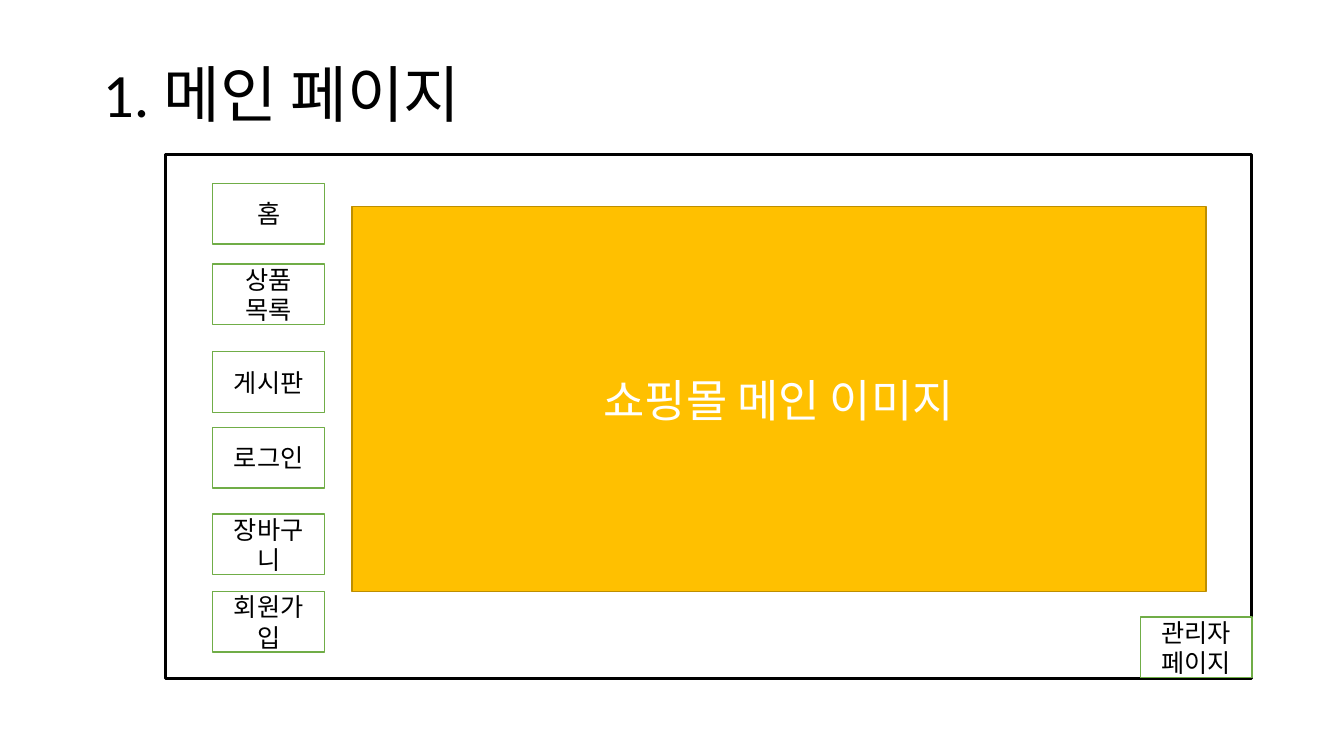
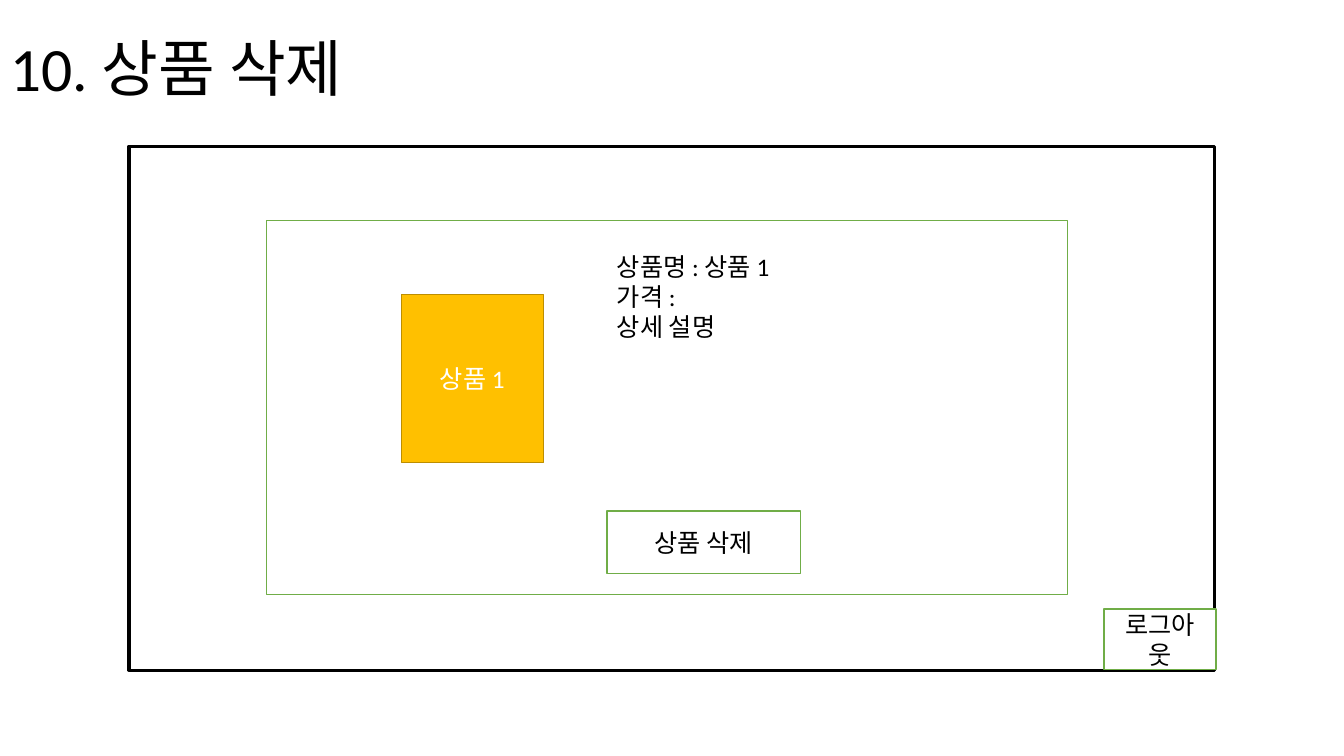
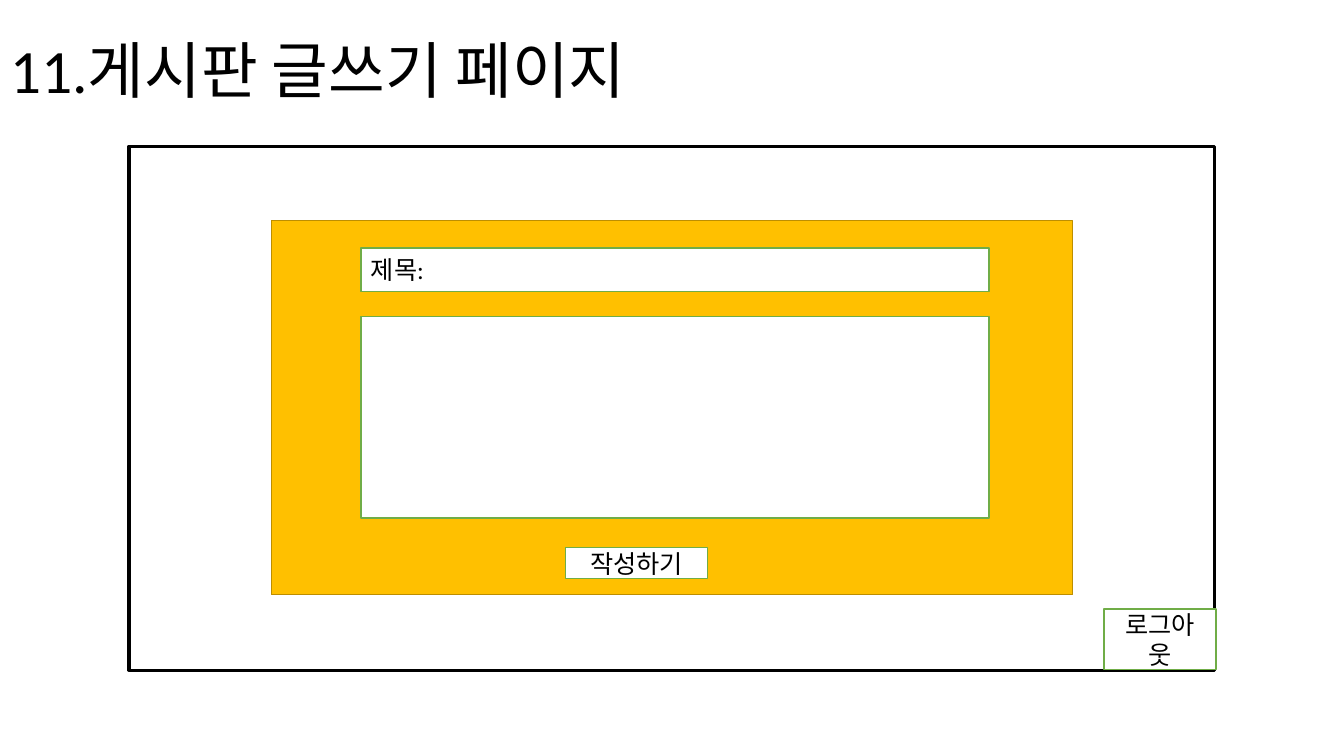
from pptx import Presentation
from pptx.dml.color import RGBColor
from pptx.enum.shapes import MSO_SHAPE
from pptx.enum.text import MSO_ANCHOR, PP_ALIGN
from pptx.util import Pt

EMU_PER_PX = 9144  # 100 px to the inch
BLACK = RGBColor(0x00, 0x00, 0x00)
WHITE = RGBColor(0xFF, 0xFF, 0xFF)
GREEN = RGBColor(0x70, 0xAD, 0x47)
GOLD = RGBColor(0xFF, 0xC0, 0x00)
DARK_GOLD = RGBColor(0xBD, 0x8E, 0x00)


def px(*lengths):
    return [length * EMU_PER_PX for length in lengths]


class Wireframe:
    font = "Calibri"
    title_size = 44
    body_size = 18
    button_size = (111, 60)
    screen_size = (1077, 520)

    def __init__(self):
        self.presentation = Presentation()
        self.presentation.slide_width, self.presentation.slide_height = px(1333, 750)
        self.slide = None

    def add_slide(self, title, left=0, top=0, height=145):
        self.slide = self.presentation.slides.add_slide(self.presentation.slide_layouts[6])
        text_frame = self.text(title, left, top, 1150, height, self.title_size)
        text_frame.vertical_anchor = MSO_ANCHOR.MIDDLE
        text_frame.paragraphs[0].line_spacing = 0.9

    def fill_text(self, text_frame, text, size, color, align):
        text_frame.word_wrap = True
        text_frame.text = text
        for paragraph in text_frame.paragraphs:
            paragraph.alignment = align
            for run in paragraph.runs:
                run.font.name = self.font
                run.font.size = Pt(size)
                run.font.color.rgb = color

    def text(self, text, left, top, width, height, size=body_size):
        box = self.slide.shapes.add_textbox(*px(left, top, width, height))
        self.fill_text(box.text_frame, text, size, BLACK, PP_ALIGN.LEFT)
        return box.text_frame

    def rectangle(self, left, top, width, height, fill, line, weight=1):
        shape = self.slide.shapes.add_shape(
            MSO_SHAPE.RECTANGLE, *px(left, top, width, height))
        shape.shadow.inherit = False
        if fill is None:
            shape.fill.background()
        else:
            shape.fill.solid()
            shape.fill.fore_color.rgb = fill
        shape.line.color.rgb = line
        shape.line.width = Pt(weight)
        return shape

    def outlined(self, left, top, width, height, text="", align=PP_ALIGN.CENTER):
        shape = self.rectangle(left, top, width, height, WHITE, GREEN)
        self.fill_text(shape.text_frame, text, self.body_size, BLACK, align)

    def filled(self, left, top, width, height, text="", size=body_size):
        shape = self.rectangle(left, top, width, height, GOLD, DARK_GOLD)
        self.fill_text(shape.text_frame, text, size, WHITE, PP_ALIGN.CENTER)

    def screen(self, left, top, corner_label):
        """Draw the page frame with a button in its bottom right corner."""
        self.rectangle(left, top, *self.screen_size, None, BLACK, 2.25)
        self.outlined(left + 967, top + 459, *self.button_size, corner_label)


def main_page(wireframe):
    wireframe.add_slide("1. 메인 페이지", 92, 40, 113)
    wireframe.screen(164, 153, "관리자페이지")
    menu = [("홈", 182), ("상품 목록", 262), ("게시판", 349),
            ("로그인", 424), ("장바구니", 510), ("회원가입", 587)]
    for label, top in menu:
        wireframe.outlined(211, top, *wireframe.button_size, label)
    wireframe.filled(349, 205, 847, 382, "쇼핑몰 메인 이미지", 32)


def product_delete_page(wireframe):
    wireframe.add_slide("10. 상품 삭제", top=-2)
    wireframe.screen(128, 145, "로그아웃")
    wireframe.outlined(264, 219, 795, 371)
    wireframe.filled(398, 292, 141, 167, "상품 1")
    wireframe.text("상품명 : 상품 1\n가격 :\n상세 설명", 602, 244, 468, 131)
    wireframe.outlined(602, 507, 192, 62, "상품 삭제")


def post_writing_page(wireframe):
    wireframe.add_slide("11.게시판 글쓰기 페이지")
    wireframe.screen(128, 145, "로그아웃")
    wireframe.filled(269, 219, 795, 371)
    wireframe.outlined(561, 543, 141, 31, "작성하기")
    wireframe.outlined(358, 246, 623, 43, "제목:", PP_ALIGN.LEFT)
    wireframe.outlined(358, 314, 623, 200)


def main():
    wireframe = Wireframe()
    for build_page in (main_page, product_delete_page, post_writing_page):
        build_page(wireframe)
    wireframe.presentation.save("out.pptx")


if __name__ == "__main__":
    main()
